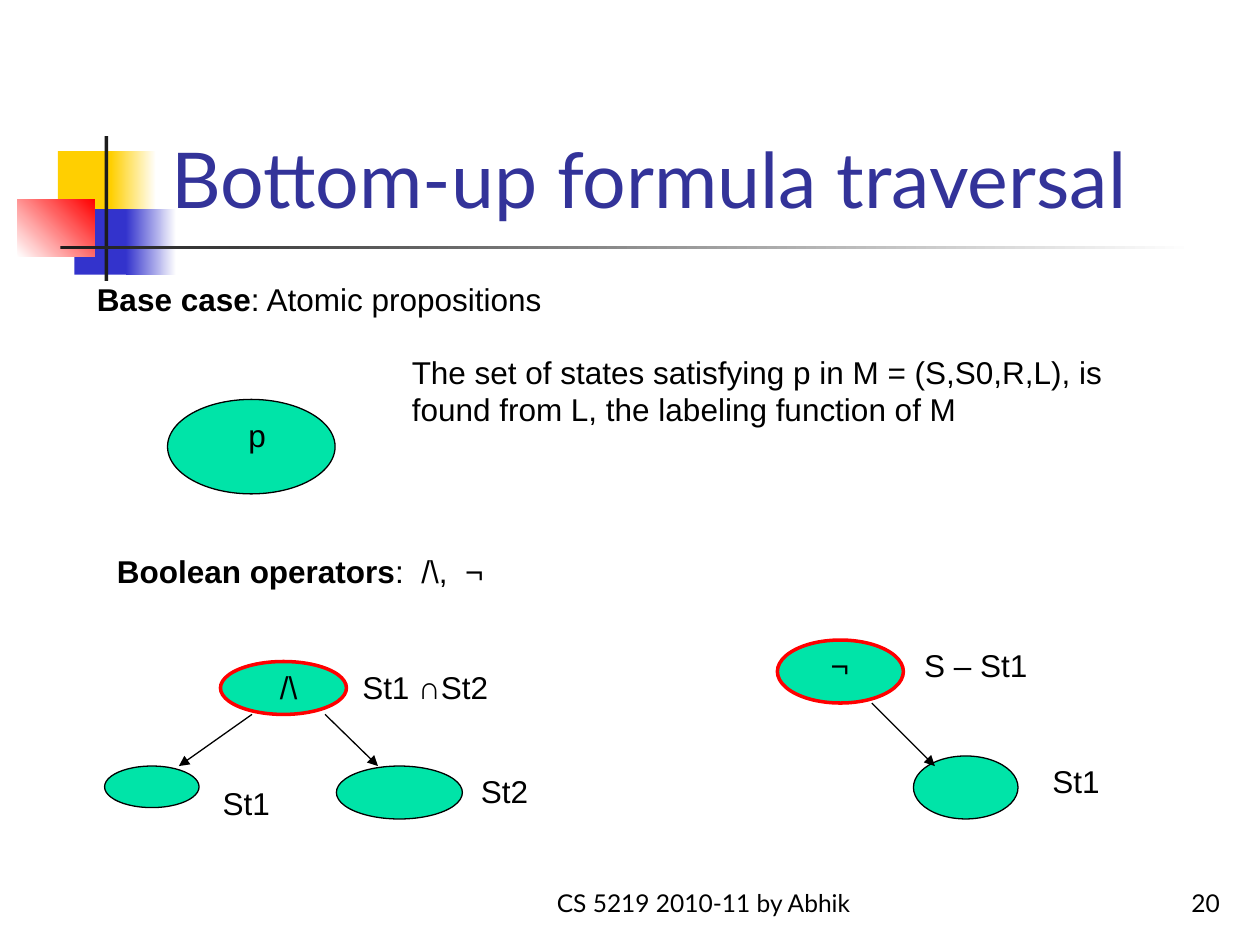
from lxml.etree import SubElement
from pptx import Presentation
from pptx.dml.color import RGBColor
from pptx.enum.shapes import MSO_CONNECTOR as Link, MSO_SHAPE as Kind
from pptx.enum.text import MSO_ANCHOR as Anchor, PP_ALIGN as Align
from pptx.oxml.ns import qn
from pptx.util import Inches, Pt

BLACK = RGBColor(0x00, 0x00, 0x00)
WHITE = RGBColor(0xFF, 0xFF, 0xFF)
GOLD = RGBColor(0xFF, 0xCF, 0x01)
BLUE = RGBColor(0x33, 0x33, 0xCC)
NAVY = RGBColor(0x33, 0x33, 0x99)
RED = RGBColor(0xFF, 0x00, 0x00)
DARK = RGBColor(0x1C, 0x1C, 0x1C)
GREEN = RGBColor(0x00, 0xE4, 0xA8)

deck = Presentation()
deck.slide_width, deck.slide_height = Inches(10), Inches(7.5)
slide = deck.slides.add_slide(deck.slide_layouts[6])
shapes = slide.shapes


def write(text, box, lead="", size=18, font="Arial", color=BLACK,
          align=Align.LEFT, anchor=Anchor.TOP):
    """Add a text box; lead is a bold opening before the text."""
    frame = shapes.add_textbox(*map(Inches, box)).text_frame
    frame.word_wrap = True
    frame.vertical_anchor = anchor
    line = frame.paragraphs[0]
    line.alignment = align
    for part, bold in ((lead, True), (text, False)):
        if part:
            run = line.add_run()
            run.text = part
            run.font.size, run.font.name = Pt(size), font
            run.font.bold = bold
            run.font.color.rgb = color


def draw(kind, box, fill, edge=None, width=0.75):
    """Add a shape with a plain fill and an optional outline."""
    shape = shapes.add_shape(kind, *map(Inches, box))
    shape.shadow.inherit = False
    shape.fill.solid()
    shape.fill.fore_color.rgb = fill
    if edge is None:
        shape.line.fill.background()
    else:
        shape.line.color.rgb = edge
        shape.line.width = Pt(width)
    return shape


# Corner ornament and title rule: box, start colour, end colour, angle
for box, start, end, angle in (
    ((0.46, 1.2, 0.48, 0.52), GOLD, None, 0),
    ((0.88, 1.2, 0.36, 0.52), GOLD, WHITE, 0),
    ((0.59, 1.66, 0.46, 0.52), BLUE, None, 0),
    ((1, 1.66, 0.4, 0.52), BLUE, WHITE, 0),
    ((0.14, 1.58, 0.61, 0.46), WHITE, RED, 45),
    ((0.83, 1.08, 0.03, 1.15), DARK, None, 0),
    ((0.48, 1.95, 9, 0.03), DARK, WHITE, 0),
):
    block = draw(Kind.RECTANGLE, box, start)
    if end is not None:
        block.fill.gradient()
        block.fill.gradient_angle = angle
        for stop, color, place in zip(block.fill.gradient_stops, (start, end), (0, 1)):
            stop.color.rgb = color
            stop.position = place

# Footer and title
write("CS 5219 2010-11 by Abhik", (4, 6.83, 3.17, 0.5), size=14, font="Lato",
      align=Align.CENTER, anchor=Anchor.BOTTOM)
write("20", (7.7, 6.83, 2.08, 0.5), size=14, font="Lato",
      align=Align.RIGHT, anchor=Anchor.BOTTOM)
write("Bottom-up formula traversal", (1.26, 0.23, 8.52, 1.6), size=44,
      font="Lato", color=NAVY, anchor=Anchor.BOTTOM)

# State sets, with the operator nodes outlined in red
for box, edge, width in (
    ((1.33, 3.17, 1.33, 0.75), BLACK, 0.75),
    ((1.75, 5.25, 1, 0.42), RED, 2),
    ((0.83, 6.08, 0.75, 0.33), BLACK, 0.75),
    ((2.67, 6.08, 1, 0.42), BLACK, 0.75),
    ((7.25, 6, 0.83, 0.5), BLACK, 0.75),
    ((6.17, 5.08, 1, 0.5), RED, 2),
):
    draw(Kind.OVAL, box, GREEN, edge, width)

# Statements
write(": Atomic propositions", (0.67, 2.17, 8.83, 0.4), lead="Base case")
write("The set of states satisfying p in M = (S,S0,R,L), is found from L, "
      "the labeling function of M", (3.17, 2.75, 6.17, 0.7))
write(":  /\\,  ¬", (0.83, 4.33, 8.5, 0.4), lead="Boolean operators")

# Node labels: text, left, top, width
for text, left, top, width in (
    ("p", 1.5, 3.25, 1.08),
    ("St1", 1.58, 6.17, 0.75),
    ("St2", 3.42, 6.08, 1.17),
    ("/\\", 1.83, 5.25, 0.92),
    ("St1 ∩St2", 2.5, 5.25, 1.75),
    ("¬", 6.25, 5.08, 0.83),
    ("S – St1", 7.08, 5.08, 1.33),
    ("St1", 8.08, 6, 0.92),
):
    write(text, (left, top, width, 0.4), align=Align.CENTER)

# Arrows from operators to operands
for ends in ((2, 5.67, 1.42, 6.08), (2.58, 5.67, 3, 6.08), (6.92, 5.58, 7.42, 6.08)):
    arrow = shapes.add_connector(Link.STRAIGHT, *map(Inches, ends))
    arrow.line.color.rgb = BLACK
    arrow.line.width = Pt(0.75)
    SubElement(arrow.line._get_or_add_ln(), qn("a:tailEnd"), type="triangle")
    SubElement(arrow._element.spPr, qn("a:effectLst"))

deck.save("out.pptx")
